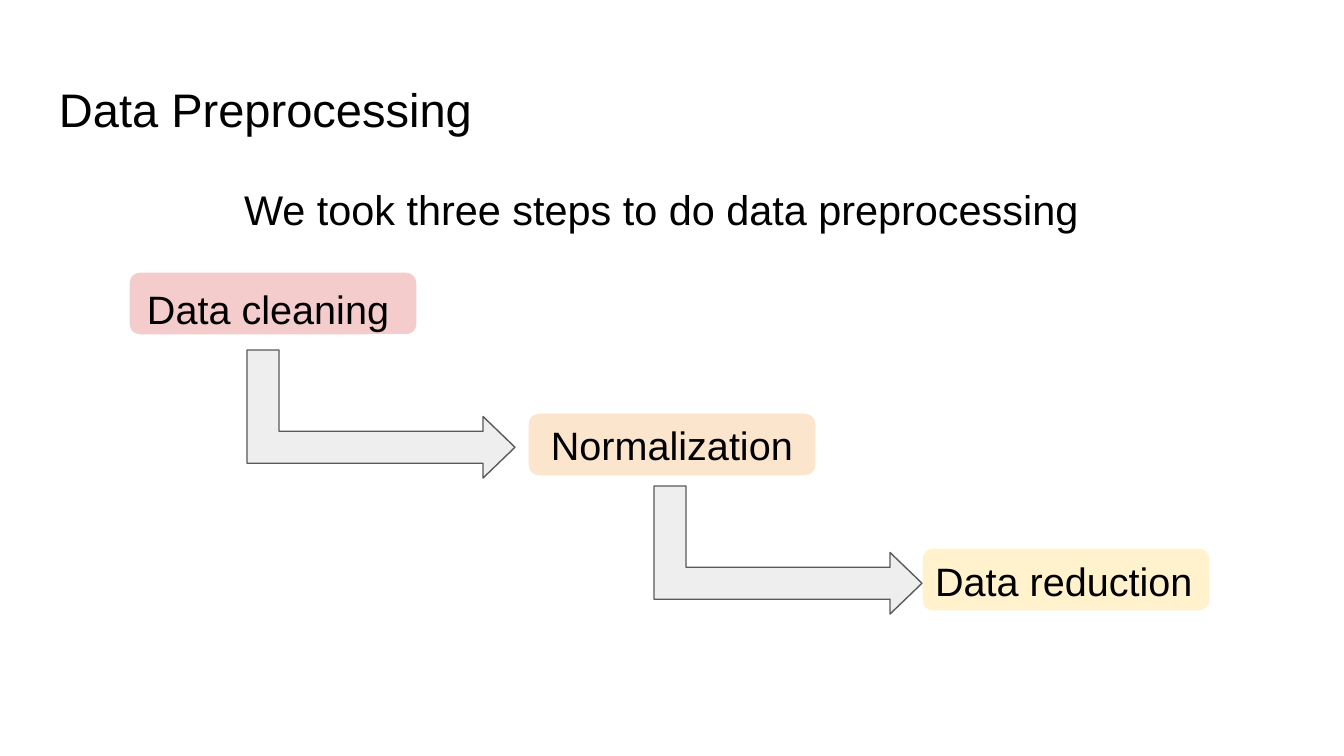
from pptx import Presentation
from pptx.dml.color import RGBColor
from pptx.enum.shapes import MSO_SHAPE
from pptx.enum.text import MSO_ANCHOR, PP_ALIGN
from pptx.util import Pt

ROUNDED = MSO_SHAPE.ROUNDED_RECTANGLE
BENT_ARROW = MSO_SHAPE.BENT_UP_ARROW
MIDDLE = MSO_ANCHOR.MIDDLE
LEFT, CENTER = PP_ALIGN.LEFT, PP_ALIGN.CENTER

EMU_PER_PX = 914400 / 134.4
COLORS = {
    "text": "000000",
    "border": "FFFFFF",
    "arrow": "EEEEEE",
    "arrow_line": "595959",
    "cleaning": "F4CCCC",
    "normalization": "FCE5CD",
    "reduction": "FFF2CC",
}
HEADINGS = [
    ("Data Preprocessing", 46, 66, 1252, 25.2),
    ("We took three steps to do data preprocessing", 231, 167, 882, 22.2),
]
STEPS = [
    ("Data cleaning", "cleaning", 129, 272, 134, 266, LEFT),
    ("Normalization", "normalization", 528, 413, 528, 402, CENTER),
    ("Data reduction", "reduction", 922, 548, 922, 538, LEFT),
]
STEP_WIDTH, STEP_HEIGHT = 288, 63
TEXT_HEIGHT, TEXT_INSET = 85, 13
STEP_FONT_SIZE = 21.2
ARROW_CORNERS = [(247, 350), (654, 486)]
ARROW_SPAN, ARROW_DROP = 268, 128


def px(value):
    return round(value * EMU_PER_PX)


def color(name):
    return RGBColor.from_string(COLORS[name])


def add_text(slide, text, left, top, width, size, alignment=LEFT):
    box = slide.shapes.add_textbox(px(left), px(top), px(width), px(TEXT_HEIGHT))
    frame = box.text_frame
    frame.word_wrap = True
    frame.vertical_anchor = MIDDLE
    frame.margin_left = frame.margin_right = px(TEXT_INSET)
    frame.margin_top = frame.margin_bottom = px(TEXT_INSET)
    paragraph = frame.paragraphs[0]
    paragraph.text = text
    paragraph.alignment = alignment
    paragraph.font.name = "Arial"
    paragraph.font.size = Pt(size)
    paragraph.font.color.rgb = color("text")


def add_shape(slide, kind, left, top, width, height, fill, line, adjustments):
    shape = slide.shapes.add_shape(kind, px(left), px(top), px(width), px(height))
    shape.shadow.inherit = False
    shape.fill.solid()
    shape.fill.fore_color.rgb = color(fill)
    shape.line.color.rgb = color(line)
    shape.line.width = Pt(0.75)
    for index, value in enumerate(adjustments):
        shape.adjustments[index] = value
    return shape


def add_arrow(slide, left, top):
    offset = (ARROW_SPAN - ARROW_DROP) / 2
    arrow = add_shape(slide, BENT_ARROW, left + offset, top - offset,
                      ARROW_DROP, ARROW_SPAN, "arrow", "arrow_line",
                      (0.25, 0.24, 0.25))
    arrow.rotation = 90


presentation = Presentation()
presentation.slide_width = px(1344)
presentation.slide_height = px(756)
slide = presentation.slides.add_slide(presentation.slide_layouts[6])

for text, left, top, width, size in HEADINGS:
    add_text(slide, text, left, top, width, size)
for text, fill, left, top, text_left, text_top, alignment in STEPS:
    add_shape(slide, ROUNDED, left, top, STEP_WIDTH, STEP_HEIGHT,
              fill, "border", (0.17,))
    add_text(slide, text, text_left, text_top, STEP_WIDTH, STEP_FONT_SIZE, alignment)
for left, top in ARROW_CORNERS:
    add_arrow(slide, left, top)

presentation.save("out.pptx")
